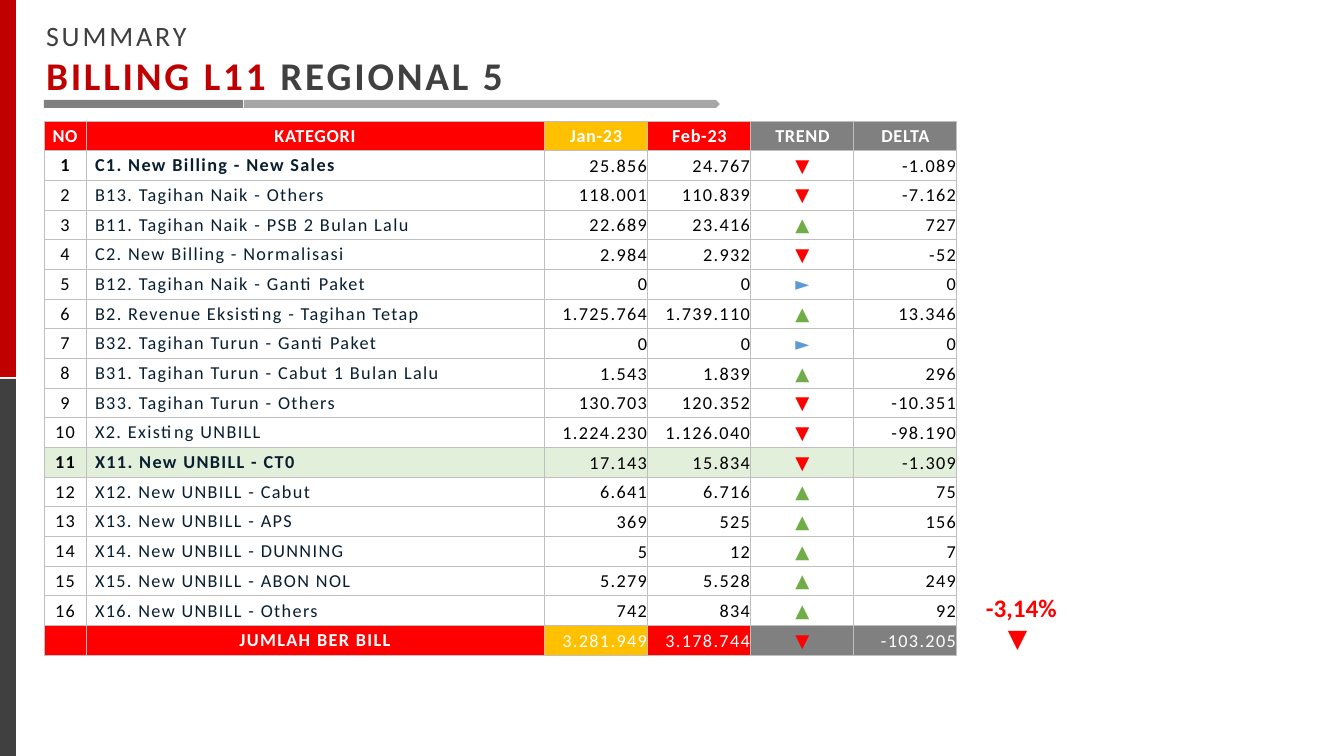
import pptx
import pptx.util
import pptx.oxml
import pptx.oxml.ns
import pptx.dml.color
import pptx.enum.shapes
import pptx.enum.text
from dataclasses import dataclass

SHAPE = pptx.enum.shapes.MSO_SHAPE
ALIGN = pptx.enum.text.PP_ALIGN
ANCHOR = pptx.enum.text.MSO_ANCHOR
SCALE = 914400 / 100.8  # EMU in one px


@dataclass(frozen=True)
class Theme:
    font: str = "Calibri"
    dark: str = "404040"
    brand: str = "C00000"
    red: str = "FF0000"
    gold: str = "FFC000"
    gray: str = "808080"
    pale: str = "A6A6A6"
    edge: str = "BFBFBF"
    mint: str = "E2EFDA"
    navy: str = "091F30"
    black: str = "000000"
    white: str = "FFFFFF"
    green: str = "70AD47"
    blue: str = "5B9BD5"
    small: int = 13
    note: int = 18
    over: int = 20
    head: int = 28


THEME = Theme()
HEADS = ["NO", "KATEGORI", "Jan-23", "Feb-23", "TREND", "DELTA"]
WIDTHS = [42, 458, 104, 103, 103, 103]
FILLS = [THEME.red, THEME.red, THEME.gold, THEME.red, THEME.gray, THEME.gray]
ITEMS = [
    ("C1. New Billing - New Sales", 25856, 24767),
    ("B13. Tagihan Naik - Others", 118001, 110839),
    ("B11. Tagihan Naik - PSB 2 Bulan Lalu", 22689, 23416),
    ("C2. New Billing - Normalisasi", 2984, 2932),
    ("B12. Tagihan Naik - Ganti Paket", 0, 0),
    ("B2. Revenue Eksisting - Tagihan Tetap", 1725764, 1739110),
    ("B32. Tagihan Turun - Ganti Paket", 0, 0),
    ("B31. Tagihan Turun - Cabut 1 Bulan Lalu", 1543, 1839),
    ("B33. Tagihan Turun - Others", 130703, 120352),
    ("X2. Existing UNBILL", 1224230, 1126040),
    ("X11. New UNBILL - CT0", 17143, 15834),
    ("X12. New UNBILL - Cabut", 6641, 6716),
    ("X13. New UNBILL - APS", 369, 525),
    ("X14. New UNBILL - DUNNING", 5, 12),
    ("X15. New UNBILL - ABON NOL", 5279, 5528),
    ("X16. New UNBILL - Others", 742, 834),
]
BOLD = (1, 11)
MARKED = 11


def px(count):
    return pptx.util.Emu(round(count * SCALE))


def rgb(code):
    return pptx.dml.color.RGBColor.from_string(code)


def write(para, text, size=THEME.small, color=THEME.black, bold=False,
          gap=0, align=ALIGN.LEFT):
    """Add one run to a paragraph; gap is letter spacing in points."""
    para.alignment = align
    run = para.add_run()
    run.text = text
    font = run.font
    font.name, font.size, font.bold = THEME.font, pptx.util.Pt(size), bold
    font.color.rgb = rgb(color)
    if gap:
        run._r.get_or_add_rPr().set("spc", str(round(gap * 100)))


def bar(slide, kind, box, color):
    shape = slide.shapes.add_shape(kind, *map(px, box))
    shape.shadow.inherit = False
    shape.fill.solid()
    shape.fill.fore_color.rgb = rgb(color)
    shape.line.fill.background()


def note(slide, box, text, wrap, bold):
    frame = slide.shapes.add_textbox(*map(px, box)).text_frame
    frame.word_wrap = wrap
    write(frame.paragraphs[0], text, size=THEME.note, color=THEME.red, bold=bold)


def title(slide):
    shape = slide.shapes.title
    shape.left, shape.top, shape.width, shape.height = map(px, (36, 13, 498, 92))
    frame = shape.text_frame
    frame.word_wrap = False
    frame.auto_size = pptx.enum.text.MSO_AUTO_SIZE.NONE
    frame.vertical_anchor = ANCHOR.TOP
    write(frame.paragraphs[0], "SUMMARY", size=THEME.over, color=THEME.dark, gap=2)
    line = frame.add_paragraph()
    for text, color in (("BILLING L11", THEME.brand), (" REGIONAL 5", THEME.dark)):
        write(line, text, size=THEME.head, color=color, bold=True, gap=2)


def border(cell):
    props = cell._tc.get_or_add_tcPr()
    for side in "LRTB":
        props.append(pptx.oxml.parse_xml(
            f'<a:ln{side} {pptx.oxml.ns.nsdecls("a")} w="9525"><a:solidFill>'
            f'<a:srgbClr val="{THEME.edge}"/></a:solidFill></a:ln{side}>'))


def put(cell, text, fill=None, inset=0, indent=0, **style):
    border(cell)
    cell.margin_left = cell.margin_right = cell.margin_top = px(inset)
    cell.margin_bottom = 0
    cell.vertical_anchor = ANCHOR.MIDDLE
    if fill:
        cell.fill.solid()
        cell.fill.fore_color.rgb = rgb(fill)
    else:
        cell.fill.background()
    para = cell.text_frame.paragraphs[0]
    if indent:
        para._p.get_or_add_pPr().set("indent", str(px(indent)))
    if text:
        write(para, text, **style)
    else:
        para._p.get_or_add_endParaRPr().set("sz", str(THEME.small * 100))


def digits(value):
    return f"{value:,}".replace(",", ".")


def trend(delta):
    if delta < 0:
        return "▼", THEME.red
    return ("▲", THEME.green) if delta else ("►", THEME.blue)


def values(cells, jan, feb, fills, color=THEME.black):
    """Fill the two months, the trend sign and the change."""
    sign, tint = trend(feb - jan)
    texts = [digits(jan), digits(feb), sign, digits(feb - jan)]
    for cell, text, fill in zip(cells, texts, fills):
        mark = text == sign
        put(cell, text, fill, inset=1, gap=1, color=tint if mark else color,
            align=ALIGN.CENTER if mark else ALIGN.RIGHT)


def grid(slide):
    count = len(ITEMS) + 2
    frame = slide.shapes.add_table(count, len(HEADS), *map(px, (44, 121, 913, 535)))
    table = frame.table
    table.first_row = table.horz_banding = False
    for col, width in zip(table.columns, WIDTHS):
        col.width = px(width)
    for row in table.rows:
        row.height = px(535 / count)
    rows = [list(row.cells) for row in table.rows]

    # Header
    for i, (cell, text, fill) in enumerate(zip(rows[0], HEADS, FILLS)):
        put(cell, text, fill, inset=int(i > 3), color=THEME.white, bold=True,
            gap=0.5, align=ALIGN.CENTER)

    # Categories
    for num, (name, jan, feb) in enumerate(ITEMS, 1):
        cells, bold = rows[num], num in BOLD
        fill = THEME.mint if num == MARKED else None
        put(cells[0], str(num), fill, bold=bold, gap=1, align=ALIGN.CENTER)
        put(cells[1], name, fill, indent=9, color=THEME.navy, bold=bold, gap=1)
        values(cells[2:], jan, feb, [fill] * 4)

    # Total
    last = rows[-1]
    put(last[0], "", FILLS[0])
    put(last[1], "JUMLAH BER BILL", FILLS[1], color=THEME.white, bold=True,
        gap=1, align=ALIGN.CENTER)
    values(last[2:], sum(item[1] for item in ITEMS),
           sum(item[2] for item in ITEMS), FILLS[2:], THEME.white)


def main():
    deck = pptx.Presentation()
    deck.slide_width, deck.slide_height = px(1344), px(756)
    slide = deck.slides.add_slide(deck.slide_layouts[5])

    # Side stripe
    bar(slide, SHAPE.RECTANGLE, (0, 379, 16, 377), THEME.dark)
    bar(slide, SHAPE.RECTANGLE, (0, 0, 16, 377), THEME.brand)

    # Title and its rule
    title(slide)
    bar(slide, SHAPE.PENTAGON, (244, 100, 476, 8), THEME.pale)
    bar(slide, SHAPE.RECTANGLE, (44, 100, 199, 8), THEME.gray)

    # Table and overall change
    grid(slide)
    note(slide, (976, 587, 92, 40), "-3,14%", wrap=False, bold=True)
    note(slide, (998, 617, 48, 40), "▼", wrap=True, bold=False)
    deck.save("out.pptx")


if __name__ == "__main__":
    main()
